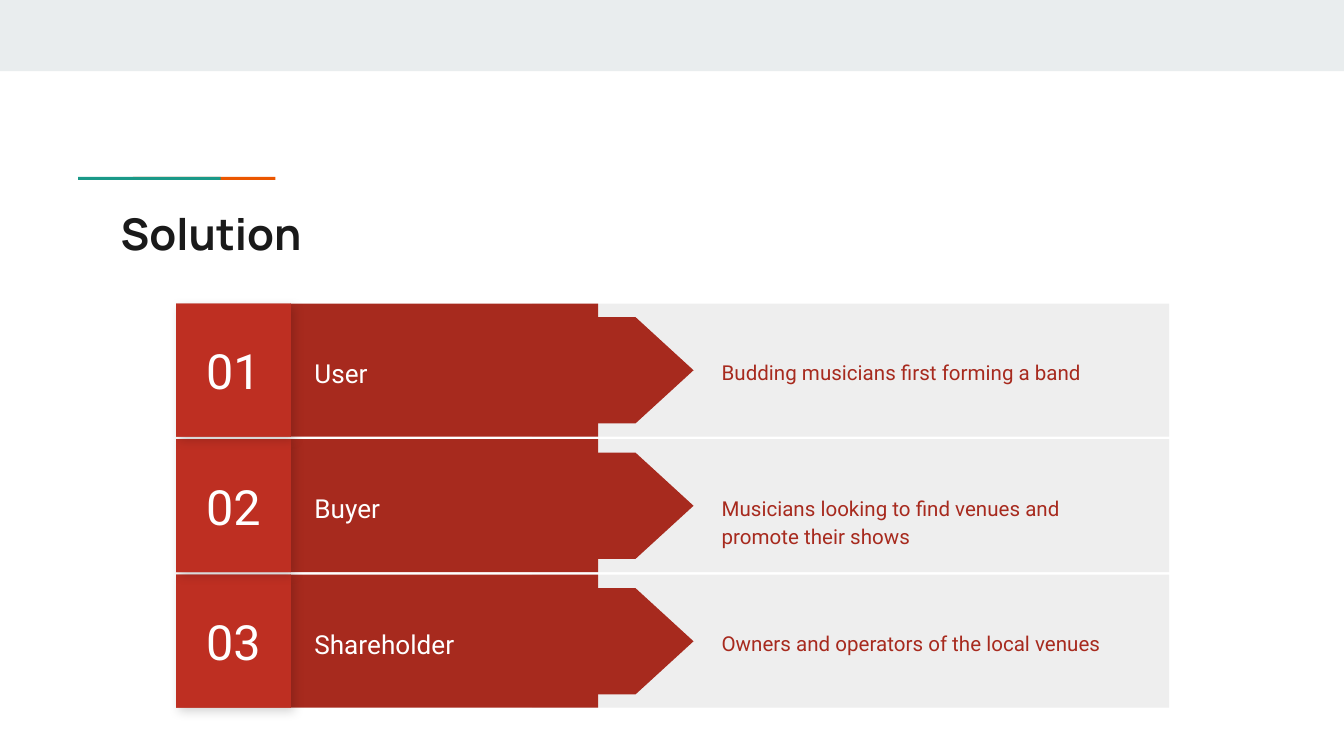
from dataclasses import dataclass

from lxml import etree
from pptx import Presentation
from pptx.dml.color import RGBColor
from pptx.enum import shapes as sh, text as tx
from pptx.oxml import ns
from pptx.util import Pt

RED, CARD, WHITE = "A72A1E", "BE2F22", "FFFFFF"
RECT = sh.MSO_SHAPE.RECTANGLE
ARROW = sh.MSO_SHAPE.FLOWCHART_OFFPAGE_CONNECTOR
MID = tx.MSO_ANCHOR.MIDDLE
TOP, STEP, HIGH = 162.7, 72.6, 71.3


@dataclass
class Box:
    x: float
    y: float
    w: float
    h: float

    def pts(self) -> list:
        return [Pt(v) for v in (self.x, self.y, self.w, self.h)]


@dataclass
class Row:
    num: str
    name: str
    note: str
    drop: float = 0  # extra inset above the note


def color(code: str) -> RGBColor:
    return RGBColor.from_string(code)


def block(slide, box: Box, fill: str, kind=RECT, turn: float = 0):
    shape = slide.shapes.add_shape(kind, *box.pts())
    shape.shadow.inherit = False
    shape.fill.solid()
    shape.fill.fore_color.rgb = color(fill)
    shape.line.fill.background()
    shape.rotation = turn
    return shape


def write(shape, words: str, *, size: float, ink: str, font: str = "Roboto",
          bold: bool = False, align=tx.PP_ALIGN.LEFT, anchor=MID,
          space: float = 1, left: float = 7.2, top: float = 7.2) -> None:
    frame = shape.text_frame
    frame.word_wrap = True
    frame.vertical_anchor = anchor
    frame.margin_left, frame.margin_top = Pt(left), Pt(top)
    frame.margin_right = frame.margin_bottom = Pt(7.2)
    para = frame.paragraphs[0]
    para.alignment, para.line_spacing = align, space
    run = para.add_run()
    run.text = words
    run.font.name, run.font.size, run.font.bold = font, Pt(size), bold
    run.font.color.rgb = color(ink)


def label(slide, box: Box, words: str, **form) -> None:
    write(slide.shapes.add_textbox(*box.pts()), words, **form)


def shade(shape) -> None:
    """Give the shape a soft outer shadow."""
    effects = shape._element.spPr.find(ns.qn("a:effectLst"))
    outer = etree.SubElement(effects, ns.qn("a:outerShdw"), blurRad=str(Pt(5.6)),
                             dist=str(Pt(2.2)), dir="2700000", algn="tl",
                             rotWithShape="0")
    tint = etree.SubElement(outer, ns.qn("a:srgbClr"), val="000000")
    etree.SubElement(tint, ns.qn("a:alpha"), val="17000")


def draw_row(slide, row: Row, y: float) -> None:
    # Panels and arrow
    block(slide, Box(285.1, y, 341.3, HIGH), "EEEEEE")
    block(slide, Box(155.5, y, 164.9, HIGH), RED)
    wide, long = 57, 155.5
    block(slide, Box(265.3, y + (HIGH - long) / 2, wide, long), RED, ARROW, 270)
    label(slide, Box(161.3, y + 8.4, 173.5, 54.7), row.name,
          size=14, ink=WHITE, space=1.15)
    # Number card over its shadow
    card = Box(94.3, y, 61.6, HIGH)
    shade(block(slide, card, "B02C20"))
    write(block(slide, card, CARD), row.num, size=26, ink=WHITE,
          align=tx.PP_ALIGN.CENTER)
    # Note
    label(slide, Box(343.4, y, 265, HIGH), row.note, size=11, ink=RED,
          space=1.15, left=43.2, top=7.2 + row.drop)


def main() -> None:
    deck = Presentation()
    deck.slide_width, deck.slide_height = Pt(720), Pt(405)
    slide = deck.slides.add_slide(deck.slide_layouts[6])

    # Top band and accent line
    block(slide, Box(0, 0, 720, 38.2), "E9EDEE")
    block(slide, Box(71.2, 94.8, 76.4, 1.6), "EB5600")
    block(slide, Box(41.8, 94.8, 76.4, 1.6), "1A9988")

    # Title
    label(slide, Box(57.6, 103.7, 605.5, 42.5), "Solution", size=23.4,
          ink="1A1A1A", font="Manrope", bold=True, anchor=tx.MSO_ANCHOR.TOP)

    # Rows, lowest first so that upper shadows fall on lower rows
    rows = [
        Row("01", "User", "Budding musicians first forming a band"),
        Row("02", "Buyer",
            "Musicians looking to find venues and promote their shows", 15.5),
        Row("03", "Shareholder", "Owners and operators of the local venues"),
    ]
    for i, row in reversed(list(enumerate(rows))):
        draw_row(slide, row, TOP + i * STEP)

    deck.save("out.pptx")


if __name__ == "__main__":
    main()
